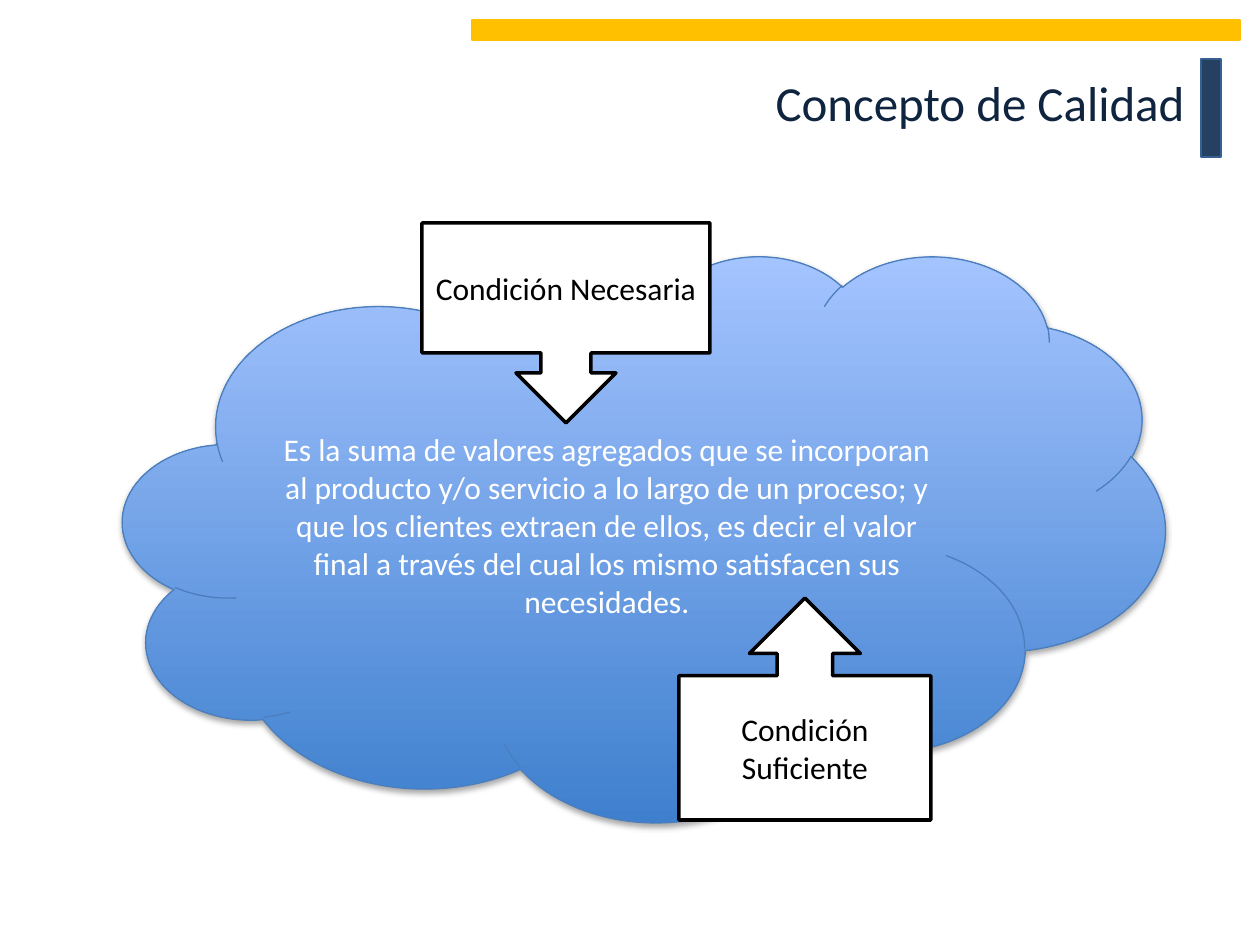
import pptx
import pptx.util
import pptx.dml.color
import pptx.enum.shapes
import pptx.enum.text
import pptx.oxml
import pptx.oxml.ns

EMU_PER_PIXEL = 914400 / 126
SHAPES = pptx.enum.shapes.MSO_SHAPE
ALIGN = pptx.enum.text.PP_ALIGN
ANCHOR = pptx.enum.text.MSO_ANCHOR
SHADOW = (
    '<a:outerShdw %s blurRad="39370" dist="22860" dir="5400000" rotWithShape="0">'
    '<a:srgbClr val="000000"><a:alpha val="35000"/></a:srgbClr></a:outerShdw>'
    % pptx.oxml.ns.nsdecls("a")
)


def color(value):
    """Turn a hex string into a colour."""
    return pptx.dml.color.RGBColor.from_string(value)


def apply(target, values):
    """Set every attribute in a dict of format values."""
    for name, value in values.items():
        setattr(target, name, value)


class SlideBuilder:
    """Holds the style and the current slide."""

    font_name = "Calibri"

    def __init__(self, presentation):
        """Add a slide that has only a title."""
        self.slide = presentation.slides.add_slide(presentation.slide_layouts[5])

    def box(self, *pixels):
        """Turn left, top, width and height in pixels into EMU."""
        lengths = [pptx.util.Emu(round(pixel * EMU_PER_PIXEL)) for pixel in pixels]
        return dict(zip(("left", "top", "width", "height"), lengths))

    def set_text(self, shape, text, size, text_color, align, anchor):
        """Fill a shape with one formatted paragraph."""
        frame = shape.text_frame
        apply(frame, {"text": text, "word_wrap": True, "vertical_anchor": anchor,
                      "auto_size": pptx.enum.text.MSO_AUTO_SIZE.NONE})
        paragraph = frame.paragraphs[0]
        paragraph.alignment = align
        font = paragraph.runs[0].font
        apply(font, {"name": self.font_name, "size": pptx.util.Pt(size), "bold": False})
        font.color.rgb = color(text_color)

    def title(self, text, pixels):
        """Place and format the title placeholder."""
        shape = self.slide.shapes.title
        apply(shape, self.box(*pixels))
        self.set_text(shape, text, 28, "0F243E", ALIGN.RIGHT, ANCHOR.TOP)

    def shape(self, kind, pixels, fill, line, line_width=0.75, text=None, text_color="000000"):
        """Add a preset shape; a pair of fill colours runs from bottom to top."""
        shape = self.slide.shapes.add_shape(kind, **self.box(*pixels))
        shape.shadow.inherit = False
        if isinstance(fill, str):
            shape.fill.solid()
            shape.fill.fore_color.rgb = color(fill)
        else:
            shape.fill.gradient()
            shape.fill.gradient_angle = 90
            for stop, value in zip(shape.fill.gradient_stops, fill):
                stop.color.rgb = color(value)
        shape.line.color.rgb = color(line)
        shape.line.width = pptx.util.Pt(line_width)
        if text:
            self.set_text(shape, text, 18, text_color, ALIGN.CENTER, ANCHOR.MIDDLE)
        return shape

    def cast_shadow(self, shape):
        """Give a shape a soft shadow below it."""
        effects = shape._element.spPr.find(pptx.oxml.ns.qn("a:effectLst"))
        effects.append(pptx.oxml.parse_xml(SHADOW))


def main():
    """Build the slide and save it."""
    presentation = pptx.Presentation()
    apply(presentation, {"slide_width": pptx.util.Inches(10),
                         "slide_height": pptx.util.Inches(7.5)})
    builder = SlideBuilder(presentation)
    builder.title("Concepto de Calidad", (63, 66, 1134, 157))
    builder.shape(SHAPES.RECTANGLE, (1201, 59, 20, 98), "254061", "376092")
    builder.shape(SHAPES.RECTANGLE, (472, 20, 768, 20), "FFC000", "FFC000")
    definition = (
        "Es la suma de valores agregados que se incorporan al producto y/o servicio "
        "a lo largo de un proceso; y que los clientes extraen de ellos, es decir el "
        "valor final a través del cual los mismo satisfacen sus necesidades."
    )
    cloud = builder.shape(SHAPES.CLOUD, (123, 255, 1042, 566), ("3F80CE", "A4C4FF"),
                          "4B7EBC", text=definition, text_color="FFFFFF")
    builder.cast_shadow(cloud)
    callouts = [
        (SHAPES.DOWN_ARROW_CALLOUT, (422, 223, 288, 200), "Condición Necesaria"),
        (SHAPES.UP_ARROW_CALLOUT, (679, 598, 252, 222), "Condición Suficiente"),
    ]
    for kind, pixels, text in callouts:
        builder.shape(kind, pixels, "FFFFFF", "000000", 2, text)
    presentation.save("out.pptx")


main()
